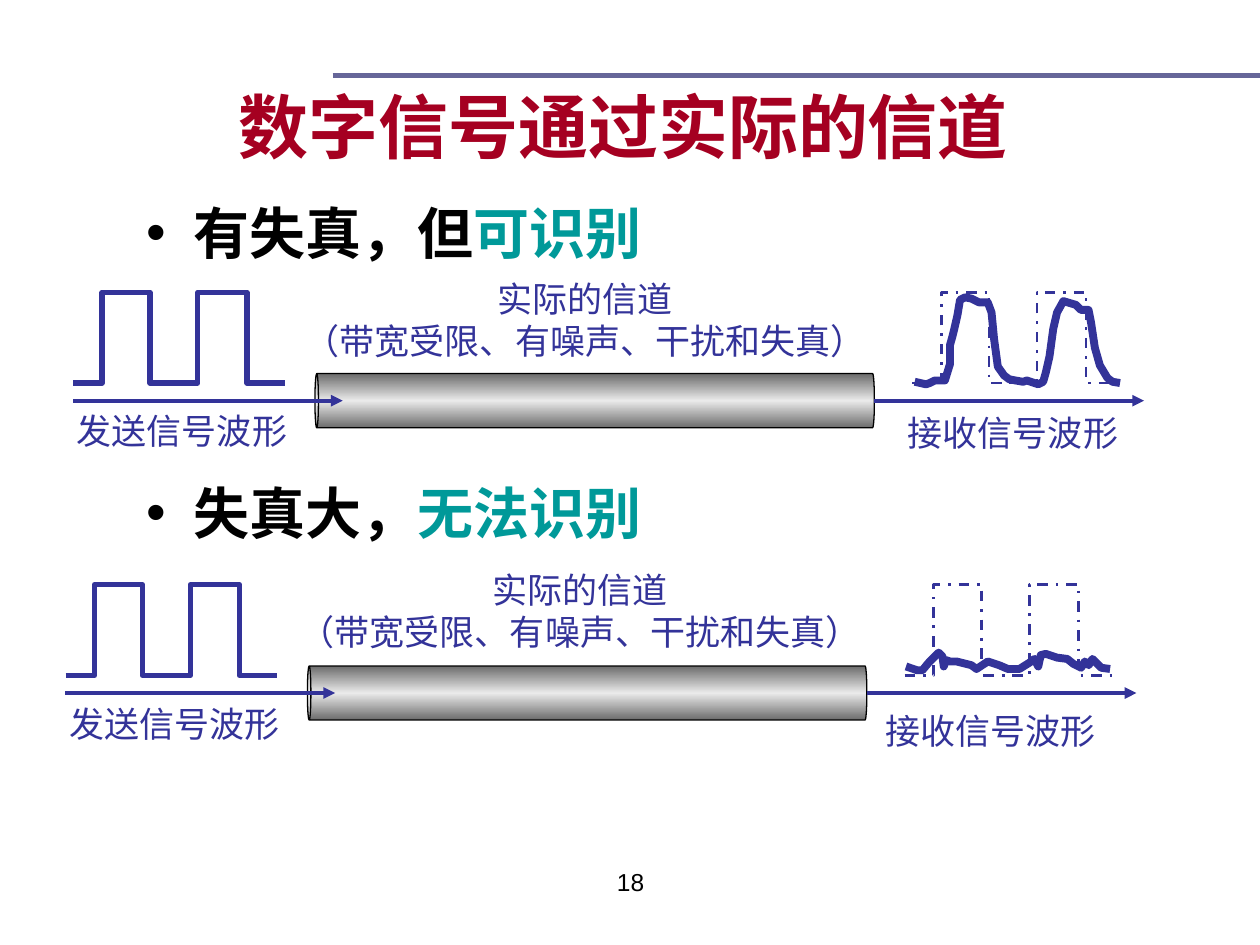
from itertools import accumulate

from lxml import etree
from pptx import Presentation, util as u
from pptx.dml.color import RGBColor
from pptx.enum import dml, shapes, text
from pptx.oxml.ns import qn

# Content
INK, BLACK, TEAL, RED, SLATE = "333399", "000000", "009999", "A50021", "666699"
CJK = "Noto Sans CJK SC"
TITLE = "数字信号通过实际的信道 "
BULLETS = [
    [("有失真，但", BLACK), ("可识别", TEAL)],
    [("失真大，", BLACK), ("无法识别", TEAL)],
]
SENT = ["发送信号波形"]
RECEIVED = ["接收信号波形"]
CHANNEL = ["实际的信道", "（带宽受限、有噪声、干扰和失真）"]

# Each row: left end and low level of the sent wave, label boxes, received trace
ROWS = [
    dict(
        origin=(0.58, 3.04),
        labels=[(CHANNEL, (2.32, 2.15, 4.65, 0.77), "Times New Roman"),
                (SENT, (0.51, 3.2, 1.87, 0.44), CJK),
                (RECEIVED, (6.99, 3.22, 2.1, 0.44), CJK)],
        trace=[(7.26, 3.03), (7.35, 3.05), (7.38, 3.04), (7.42, 3.02), (7.5, 3.02),
               (7.54, 2.89), (7.54, 2.74), (7.56, 2.67), (7.57, 2.63), (7.6, 2.5),
               (7.62, 2.38), (7.66, 2.36), (7.71, 2.37), (7.77, 2.4), (7.84, 2.4),
               (7.87, 2.48), (7.89, 2.69), (7.92, 2.91), (7.97, 2.98), (8.01, 3.01),
               (8.06, 3.02), (8.12, 3.03), (8.15, 3.02), (8.24, 3.05), (8.28, 3.03),
               (8.3, 2.96), (8.33, 2.83), (8.36, 2.61), (8.39, 2.48), (8.44, 2.39),
               (8.54, 2.42), (8.58, 2.46), (8.64, 2.46), (8.66, 2.56), (8.69, 2.76),
               (8.73, 2.9), (8.79, 3), (8.83, 3.03), (8.89, 3.04)],
    ),
    dict(
        origin=(0.52, 5.36),
        labels=[(CHANNEL, (2.28, 4.46, 4.65, 0.77), "Times New Roman"),
                (SENT, (0.45, 5.53, 1.87, 0.44), CJK),
                (RECEIVED, (6.85, 5.58, 2.03, 0.44), CJK)],
        trace=[(7.19, 5.29), (7.28, 5.32), (7.32, 5.32), (7.37, 5.26), (7.45, 5.18),
               (7.48, 5.21), (7.49, 5.29), (7.51, 5.24), (7.54, 5.25), (7.59, 5.25),
               (7.71, 5.28), (7.75, 5.31), (7.84, 5.25), (7.93, 5.28), (8, 5.31),
               (8.09, 5.31), (8.17, 5.26), (8.21, 5.23), (8.24, 5.29), (8.26, 5.2),
               (8.3, 5.19), (8.39, 5.22), (8.47, 5.23), (8.52, 5.27), (8.58, 5.3),
               (8.61, 5.25), (8.64, 5.28), (8.67, 5.23), (8.74, 5.3), (8.81, 5.31)],
    ),
]

# Measures shared by both rows, from the row's origin
STEPS = [0, 0.23, 0.38, 0.38, 0.39, 0.3]
PULSE = 0.72
AXIS_DROP, AXIS_LENGTH = 0.14, 2.14
RECEIVED_WAVE, RECEIVED_AXIS = 6.66, 6.36
TUBE_CENTRE, TUBE_LENGTH, TUBE_WIDTH = 4.14, 4.44, 0.43


def colour(value):
    return RGBColor.from_string(value)


def inches(*lengths):
    return [u.Inches(length) for length in lengths]


def add_run(paragraph, words, size, value, font=CJK, bold=False):
    run = paragraph.add_run()
    run.text = words
    run.font.size, run.font.bold = u.Pt(size), bold
    run.font.color.rgb = colour(value)
    run.font.name = font
    etree.SubElement(run.font._element, qn("a:ea"), typeface=CJK)


def add_label(slide, lines, box, font, size=20, value=INK):
    frame = slide.shapes.add_textbox(*inches(*box)).text_frame
    frame.word_wrap = False
    for index, words in enumerate(lines):
        paragraph = frame.add_paragraph() if index else frame.paragraphs[0]
        paragraph.alignment = text.PP_ALIGN.CENTER
        add_run(paragraph, words, size, value, font)


def add_line(slide, start, end, value, width, arrow=False):
    line = slide.shapes.add_connector(
        shapes.MSO_CONNECTOR.STRAIGHT, *inches(*start, *end))
    line.line.color.rgb, line.line.width = colour(value), u.Pt(width)
    if arrow:
        etree.SubElement(line.line._get_or_add_ln(), qn("a:tailEnd"), type="triangle")
    etree.SubElement(line._element.spPr, qn("a:effectLst"))


def add_outline(slide, points, width, dash=None):
    points = [inches(*point) for point in points]
    builder = slide.shapes.build_freeform(*points[0])
    builder.add_line_segments(points[1:], close=False)
    shape = builder.convert_to_shape()
    shape.shadow.inherit = False
    shape.fill.background()
    shape.line.color.rgb, shape.line.width = colour(INK), u.Pt(width)
    if dash:
        shape.line.dash_style = dash


def square_wave(left, low):
    edges = list(accumulate(STEPS, initial=left))[1:]
    points = [(edges[0], low)]
    level, other = low, low - PULSE
    for x in edges[1:-1]:
        points += [(x, level), (x, other)]
        level, other = other, level
    return points + [(edges[-1], low)]


def add_tube(slide, x, y):
    # The upright can is turned a quarter to the left about its centre
    shape = slide.shapes.add_shape(shapes.MSO_SHAPE.CAN, *inches(
        x - TUBE_WIDTH / 2, y - TUBE_LENGTH / 2, TUBE_WIDTH, TUBE_LENGTH))
    shape.rotation, shape.adjustments[0] = 270, 0.065
    shape.shadow.inherit = False
    shape.fill.gradient()
    shape.fill.gradient_angle = 0
    stops = shape._element.spPr.find(qn("a:gradFill")).find(qn("a:gsLst"))
    for stop in list(stops):
        stops.remove(stop)
    for position, value in [(0, "6C6C6C"), (50000, "EAEAEA"), (100000, "6C6C6C")]:
        stop = etree.SubElement(stops, qn("a:gs"), pos=str(position))
        etree.SubElement(stop, qn("a:srgbClr"), val=value)
    shape.line.color.rgb, shape.line.width = colour(BLACK), u.Pt(0.75)


def place(shape, box):
    shape.left, shape.top, shape.width, shape.height = inches(*box)
    shape.text_frame.auto_size = text.MSO_AUTO_SIZE.NONE
    return shape.text_frame


def main():
    presentation = Presentation()
    presentation.slide_width, presentation.slide_height = inches(10, 7.5)
    slide = presentation.slides.add_slide(presentation.slide_layouts[1])
    add_line(slide, (2.64, 0.6), (10, 0.6), SLATE, 3)

    # Title and bullets
    title = place(slide.shapes.title, (0.51, 0.44, 9, 0.94))
    title.vertical_anchor = text.MSO_ANCHOR.BOTTOM
    title.paragraphs[0].alignment = text.PP_ALIGN.CENTER
    add_run(title.paragraphs[0], TITLE, 40, RED, "Arial", True)
    body = place(slide.placeholders[1], (1.06, 1.47, 8.5, 4.5))
    for index, runs in enumerate(BULLETS):
        paragraph = body.add_paragraph() if index else body.paragraphs[0]
        paragraph.line_spacing = 1.1
        paragraph.space_before = u.Pt(118 * index)
        for words, value in runs:
            add_run(paragraph, words, 32, value, "Arial", True)

    # Sent wave, channel and received wave
    for row in ROWS:
        left, low = row["origin"]
        axis = low + AXIS_DROP
        add_tube(slide, left + TUBE_CENTRE, axis)
        add_outline(slide, square_wave(left, low), 3)
        add_outline(slide, square_wave(left + RECEIVED_WAVE, low), 1.5,
                    dml.MSO_LINE.DASH_DOT)
        for start in (left, left + RECEIVED_AXIS):
            add_line(slide, (start, axis), (start + AXIS_LENGTH, axis), INK, 2.25, True)
        add_outline(slide, row["trace"], 4.5)
        for label in row["labels"]:
            add_label(slide, *label)

    # Page number
    add_label(slide, ["18"], (3.42, 6.83, 3.17, 0.52), "Arial", 14, BLACK)
    presentation.save("out.pptx")


if __name__ == "__main__":
    main()
